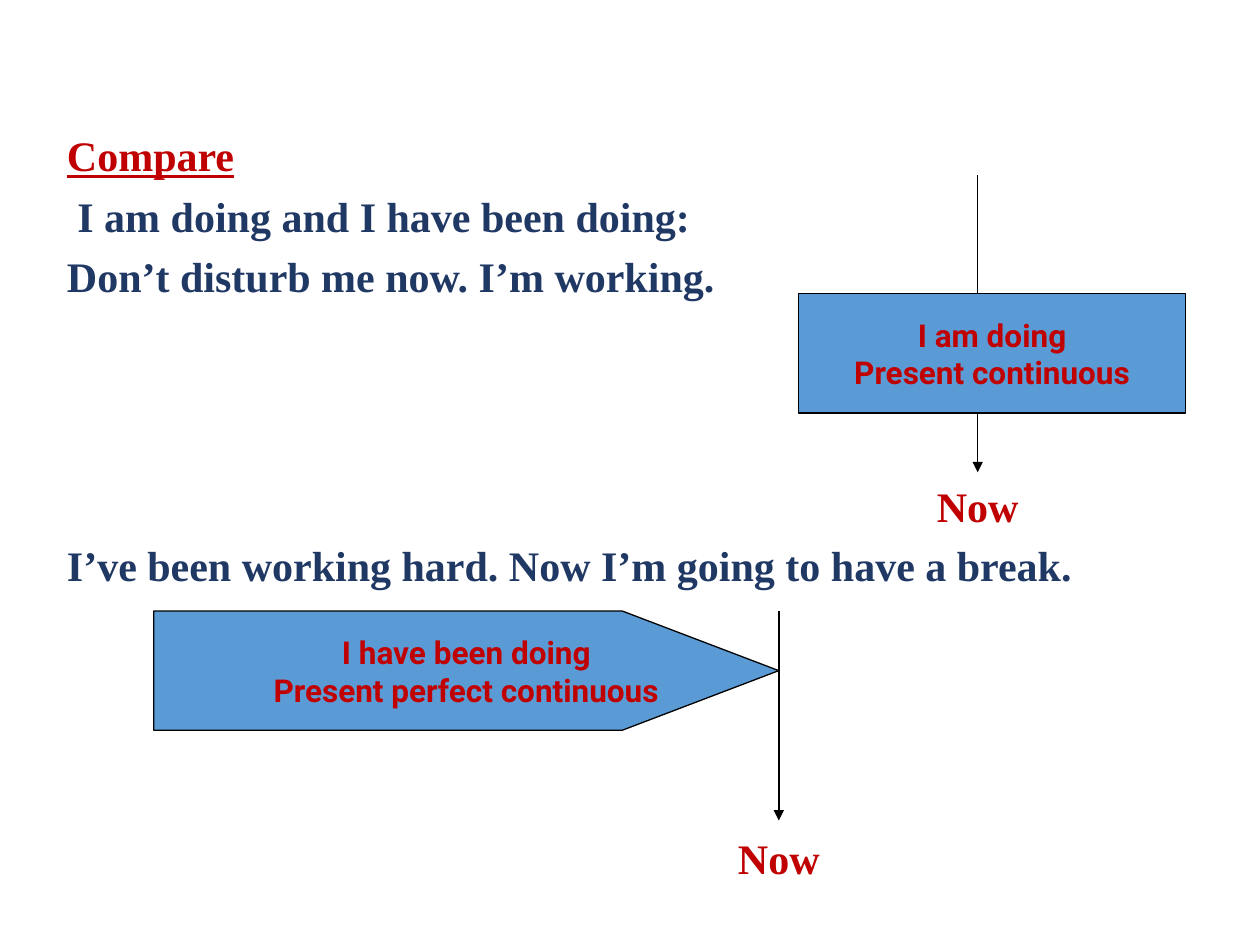
from lxml.etree import SubElement as Sub
from pptx import Presentation
from pptx.dml.color import RGBColor as Rgb
from pptx.enum.shapes import MSO_CONNECTOR as Link, MSO_SHAPE as Kind
from pptx.enum.text import MSO_ANCHOR as Anchor, PP_ALIGN as Align
from pptx.oxml.ns import qn
from pptx.util import Cm, Pt

HUES = {"red": "C00000", "navy": "203864", "blue": "5B9BD5", "black": "000000"}
BODY = {"name": "Times New Roman", "size": Pt(24), "bold": True}
LABEL = {"name": "Roboto", "size": Pt(18), "bold": True}
PARA = {"line_spacing": 0.9, "space_after": Pt(8.6)}
BARE = {f"margin_{side}": 0 for side in ("left", "top", "right", "bottom")}
TOP, STEP, LEFT = 2.73, 1.18, 1.35


def assign(item, props):
    for key, val in props.items():
        setattr(item, key, val)


class Board:
    """Holds the style and the current slide."""

    def __init__(self, slide):
        self.slide = slide
        self.shapes = slide.shapes

    def letter(self, frame, lines, font, para):
        for i, (text, hue, extra) in enumerate(lines):
            par = frame.paragraphs[0] if i == 0 else frame.add_paragraph()
            assign(par, para)
            run = par.add_run()
            run.text = text
            assign(run.font, font | extra)
            run.font.color.rgb = Rgb.from_string(HUES[hue])

    def text(self, left, row, width, lines, align=Align.LEFT):
        height = STEP * len(lines)
        box = self.shapes.add_textbox(Cm(left), Cm(TOP + STEP * row), Cm(width), Cm(height))
        assign(box.text_frame, BARE | {"word_wrap": True})
        self.letter(box.text_frame, lines, BODY, PARA | {"alignment": align})

    def now(self, mid, row):
        self.text(mid - 2, row, 4, [("Now", "red", {})], Align.CENTER)

    def label(self, shape, lines):
        shape.shadow.inherit = False
        shape.fill.solid()
        shape.fill.fore_color.rgb = Rgb.from_string(HUES["blue"])
        shape.line.color.rgb = Rgb.from_string(HUES["black"])
        shape.line.width = Pt(0.75)
        frame = shape.text_frame
        assign(frame, {"word_wrap": False, "vertical_anchor": Anchor.MIDDLE})
        self.letter(frame, [(t, "red", {}) for t in lines], LABEL, {"alignment": Align.CENTER})

    def block(self, left, top, width, height, lines):
        area = Cm(left), Cm(top), Cm(width), Cm(height)
        self.label(self.shapes.add_shape(Kind.RECTANGLE, *area), lines)

    def point(self, left, top, width, height, neck, lines):
        tip, base = left + width, top + height
        spots = [(neck, top), (tip, top + height / 2), (neck, base), (left, base)]
        form = self.shapes.build_freeform(Cm(left), Cm(top))
        form.add_line_segments([(Cm(x), Cm(y)) for x, y in spots])
        self.label(form.convert_to_shape(), lines)

    def line(self, x, top, base, width=0.75, head=False):
        link = self.shapes.add_connector(Link.STRAIGHT, Cm(x), Cm(top), Cm(x), Cm(base))
        link.line.color.rgb = Rgb.from_string(HUES["black"])
        link.line.width = Pt(width)
        props = link.element.spPr
        if head:
            Sub(props.find(qn("a:ln")), qn("a:tailEnd"), type="triangle")
        Sub(props, qn("a:effectLst"))


def main():
    deck = Presentation()
    assign(deck, {"slide_width": Cm(25.4), "slide_height": Cm(19.05)})
    board = Board(deck.slides.add_slide(deck.slide_layouts[6]))

    board.text(LEFT, 0, 16, [
        ("Compare", "red", {"underline": True}),
        (" I am doing and I have been doing:", "navy", {}),
        ("Don’t disturb me now. I’m working.", "navy", {}),
    ])
    board.block(16.1, 5.92, 7.8, 2.41, ["I am doing", "Present continuous"])
    board.line(19.71, 3.53, 5.92)
    board.line(19.71, 8.33, 9.52, head=True)
    board.now(19.71, 6)

    board.text(LEFT, 7, 23, [("I’ve been working hard. Now I’m going to have a break.", "navy", {})])
    board.point(3.1, 12.32, 12.6, 2.4, 12.55, ["I have been doing", "Present perfect continuous"])
    board.line(15.7, 12.32, 16.54, 1, True)
    board.now(15.7, 12)
    deck.save("out.pptx")


if __name__ == "__main__":
    main()
